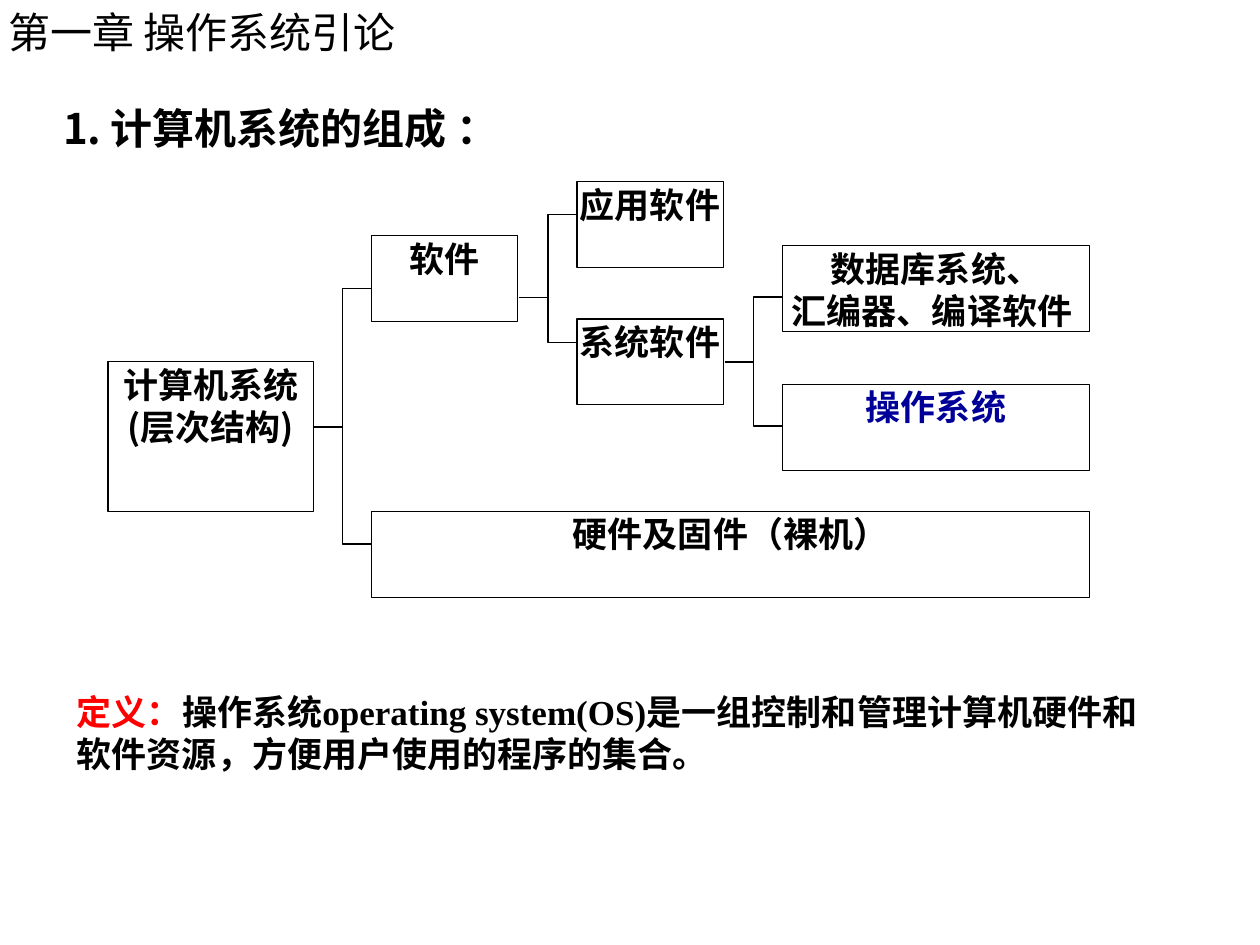
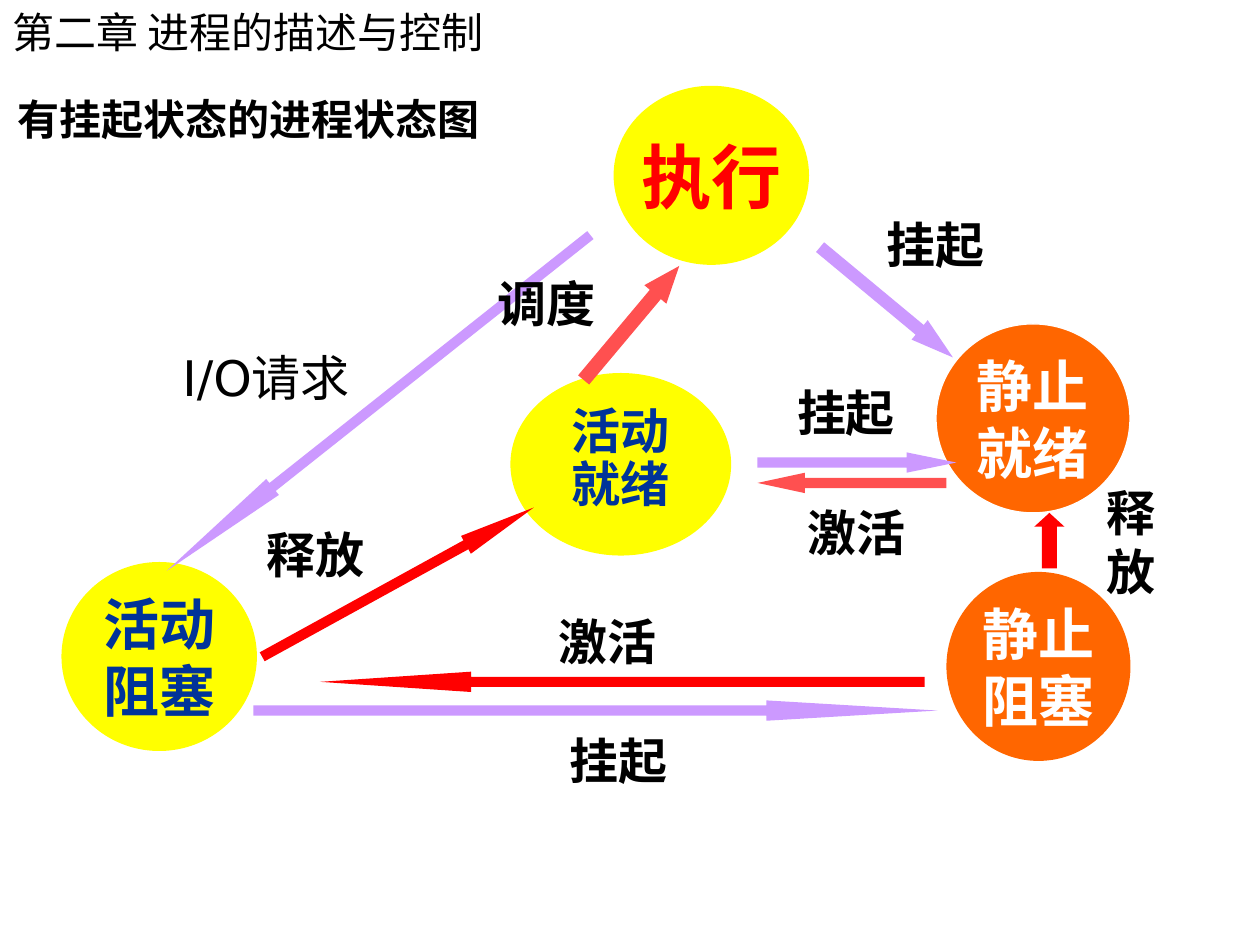
from lxml import etree
from pptx import Presentation
from pptx.dml.color import RGBColor
from pptx.enum.shapes import MSO_CONNECTOR, MSO_SHAPE
from pptx.enum.text import MSO_ANCHOR, MSO_AUTO_SIZE, PP_ALIGN
from pptx.oxml.ns import qn
from pptx.util import Cm, Pt

RECTANGLE, ELLIPSE = MSO_SHAPE.RECTANGLE, MSO_SHAPE.OVAL
RIGHT_ARROW, UP_ARROW = MSO_SHAPE.RIGHT_ARROW, MSO_SHAPE.UP_ARROW
STRAIGHT = MSO_CONNECTOR.STRAIGHT
TOP, MIDDLE = MSO_ANCHOR.TOP, MSO_ANCHOR.MIDDLE
LEFT, CENTER = PP_ALIGN.LEFT, PP_ALIGN.CENTER
NO_AUTOFIT = MSO_AUTO_SIZE.NONE

COLORS = {
    "black": "000000", "white": "FFFFFF", "red": "FF0000", "coral": "FF5050",
    "lilac": "CC99FF", "yellow": "FFFF00", "orange": "FF6600",
    "blue": "003399", "navy": "000099",
}
CHINESE_FONT = "Noto Sans CJK SC"
SERIF_FONT = "Times New Roman"
DIAGRAM_FONT = "DejaVu Sans"
TITLE_ONLY = 5
LINE_WIDTH = Pt(0.75)
LINE_SPACING = 1.2
TEXT_INSETS = (0.25, 0.13)
BRACKET_ARM = 0.58


def color(name):
    return RGBColor.from_string(COLORS[name])


class Deck:
    """Holds the shared style and the slide being built."""

    def __init__(self):
        self.presentation = Presentation()
        self.presentation.slide_width = Cm(25.4)
        self.presentation.slide_height = Cm(19.05)
        self.slide = None

    def new_slide(self, chapter, chapter_left, title, title_box):
        layout = self.presentation.slide_layouts[TITLE_ONLY]
        self.slide = self.presentation.slides.add_slide(layout)
        shape = self.slide.shapes.title
        shape.left, shape.top, shape.width, shape.height = map(Cm, title_box)
        self.fill_text(shape, [[(title, "black")]], 24, anchor=MIDDLE)
        self.text((chapter_left, 0, 25.4, 1.27), [[(chapter, "black")]], 24,
                  bold=False, anchor=MIDDLE)

    def fill_text(self, shape, paragraphs, size, font=CHINESE_FONT, bold=True, align=LEFT,
                  anchor=TOP, insets=TEXT_INSETS, wrap=True, spacing=LINE_SPACING):
        """Fill a shape; each paragraph is a list of (text, colour[, font]) runs."""
        frame = shape.text_frame
        frame.auto_size = NO_AUTOFIT
        frame.word_wrap = wrap
        frame.vertical_anchor = anchor
        frame.margin_left = frame.margin_right = Cm(insets[0])
        frame.margin_top = frame.margin_bottom = Cm(insets[1])
        for index, runs in enumerate(paragraphs):
            paragraph = frame.add_paragraph() if index else frame.paragraphs[0]
            paragraph.alignment = align
            paragraph.line_spacing = Pt(size * spacing)
            for text, color_name, *own_font in runs:
                run = paragraph.add_run()
                run.text = text
                run.font.size = Pt(size)
                run.font.bold = bold
                run.font.color.rgb = color(color_name)
                run.font.name = own_font[0] if own_font else font
                latin = run.font._element.find(qn("a:latin"))
                east_asian = etree.Element(qn("a:ea"), typeface=CHINESE_FONT)
                latin.addnext(east_asian)

    def text(self, box, paragraphs, size, **style):
        shape = self.slide.shapes.add_textbox(*map(Cm, box))
        self.fill_text(shape, paragraphs, size, **style)

    def label(self, box, text, **style):
        self.text(box, [[(text, "black")]], 28, font=DIAGRAM_FONT, align=CENTER,
                  insets=(0, 0), **style)

    def shape(self, kind, box, fill=None, line=None):
        shape = self.slide.shapes.add_shape(kind, *map(Cm, box))
        self.paint(shape, fill, line)
        return shape

    def paint(self, shape, fill, line):
        shape.shadow.inherit = False
        if fill:
            shape.fill.solid()
            shape.fill.fore_color.rgb = color(fill)
        else:
            shape.fill.background()
        if line:
            shape.line.color.rgb = color(line)
            shape.line.width = LINE_WIDTH
        else:
            shape.line.fill.background()

    def component(self, box, lines, text_color="black", font=SERIF_FONT):
        shape = self.shape(RECTANGLE, box, line="black")
        self.fill_text(shape, [[(line, text_color)] for line in lines], 20, font=font,
                       align=CENTER, insets=(0.02, 0.03))

    def bracket(self, spine, top, bottom, stem_y):
        """Draw a stem from the left that splits into two branches."""
        branch = spine + BRACKET_ARM
        points = [(branch, top), (spine, top), (spine, bottom), (branch, bottom)]
        corners = [(Cm(x), Cm(y)) for x, y in points]
        builder = self.slide.shapes.build_freeform(*corners[0], scale=1.0)
        builder.add_line_segments(corners[1:], close=False)
        self.paint(builder.convert_to_shape(), None, "black")
        stem = self.slide.shapes.add_connector(
            STRAIGHT, Cm(spine - BRACKET_ARM), Cm(stem_y), Cm(spine), Cm(stem_y))
        stem.line.color.rgb = color("black")
        stem.line.width = LINE_WIDTH
        etree.SubElement(stem._element.spPr, qn("a:effectLst"))

    def state(self, box, lines, fill, text_color, size=32, line=None, **style):
        shape = self.shape(ELLIPSE, box, fill, line)
        settings = {"anchor": MIDDLE, "insets": (0, 0), "wrap": False, **style}
        self.fill_text(shape, [[(text, text_color)] for text in lines], size,
                       font=DIAGRAM_FONT, align=CENTER, **settings)

    def arrow(self, box, fill, rotation=0, kind=RIGHT_ARROW):
        """Draw a block arrow whose head takes a quarter of its length."""
        shape = self.shape(kind, box, fill)
        thickness, length = sorted(box[2:])
        shape.adjustments[0] = 0.5
        shape.adjustments[1] = length / (4 * thickness)
        shape.rotation = rotation


def build_system_structure(deck):
    deck.new_slide("第一章 操作系统引论", -0.08,
                   "1. 计算机系统的组成 ：", (1.02, 1.93, 11.63, 1.27))
    width, height = 2.95, 1.73
    software_left, kind_left, system_left = 7.49, 11.63, 15.77
    system_width = 6.2

    deck.component((2.18, 7.29, 4.14, 3.02), ["计算机系统", "(层次结构)"], font=CHINESE_FONT)
    deck.component((software_left, 4.75, width, height), ["软件"])
    deck.component((software_left, 10.31, system_left + system_width - software_left, height),
                   ["硬件及固件（裸机）"])
    deck.component((kind_left, 3.66, width, height), ["应用软件"])
    deck.component((kind_left, 6.43, width, height), ["系统软件"])
    deck.component((system_left, 4.95, system_width, height),
                   ["数据库系统、", "汇编器、编译软件 "])
    deck.component((system_left, 7.75, system_width, height), ["操作系统"], "navy")

    deck.bracket(6.91, 5.82, 10.97, 8.61)
    deck.bracket(11.05, 4.32, 6.91, 6.0)
    deck.bracket(15.19, 5.99, 8.59, 7.3)

    definition = "操作系统operating system(OS)是一组控制和管理计算机硬件和软件资源，方便用户使用的程序的集合。"
    deck.text((1.3, 13.79, 22.05, 2.82),
              [[("定义：", "red", "Arial"), (definition, "black")]], 20, font=SERIF_FONT)


def build_process_states(deck):
    deck.new_slide("第二章 进程的描述与控制", 0,
                   "有挂起状态的进程状态图", (0.1, 1.75, 10.21, 1.27))

    deck.state((18.87, 6.53, 3.91, 3.81), ["静止", "就绪"], "orange", "white", line="white")
    deck.state((19.08, 11.53, 3.71, 3.81), ["静止", "阻塞"], "orange", "white")
    deck.state((1.24, 11.33, 3.94, 3.81), ["活动", "阻塞"], "yellow", "blue")
    deck.state((12.37, 1.73, 3.94, 3.61), ["执行"], "yellow", "red", size=40)
    deck.state((10.29, 7.52, 4.45, 3.68), ["活动", "就绪"], "yellow", "blue", size=28,
               anchor=TOP, insets=TEXT_INSETS, spacing=0.9 * LINE_SPACING)

    thin = 0.41
    for box, fill, rotation in [
        ((5.11, 14.12, 13.79, thin), "lilac", 0),
        ((15.27, 9.12, 4.01, thin), "lilac", 0),
        ((15.27, 9.53, 3.81, thin), "coral", 180),
        ((16.13, 5.84, 3.48, 0.51), "lilac", 39.7),
        ((6.45, 13.54, 12.19, thin), "red", 180),
        ((2.18, 7.92, 10.9, thin), "lilac", 141.6),
        ((11.23, 6.22, 3.0, 0.58), "coral", 310),
        ((4.9, 11.53, 6.25, thin), "red", 331.2),
    ]:
        deck.arrow(box, fill, rotation)
    deck.arrow((20.85, 10.34, 0.61, 1.12), "red", kind=UP_ARROW)

    for left, top, text in [
        (17.86, 4.32, "挂起"), (16.05, 7.72, "挂起"), (11.46, 14.73, "挂起"),
        (16.26, 10.13, "激活"), (11.25, 12.32, "激活"),
        (10.02, 5.51, "调度"), (5.36, 10.57, "释放"),
    ]:
        deck.label((left, top, 2.01, 1.19), text)
    deck.label((22.07, 9.73, 1.45, 2.36), "释放")
    deck.label((3.56, 7.01, 3.61, 1.19), "I/O请求", bold=False, wrap=False)


def main():
    deck = Deck()
    build_system_structure(deck)
    build_process_states(deck)
    deck.presentation.save("out.pptx")


if __name__ == "__main__":
    main()
